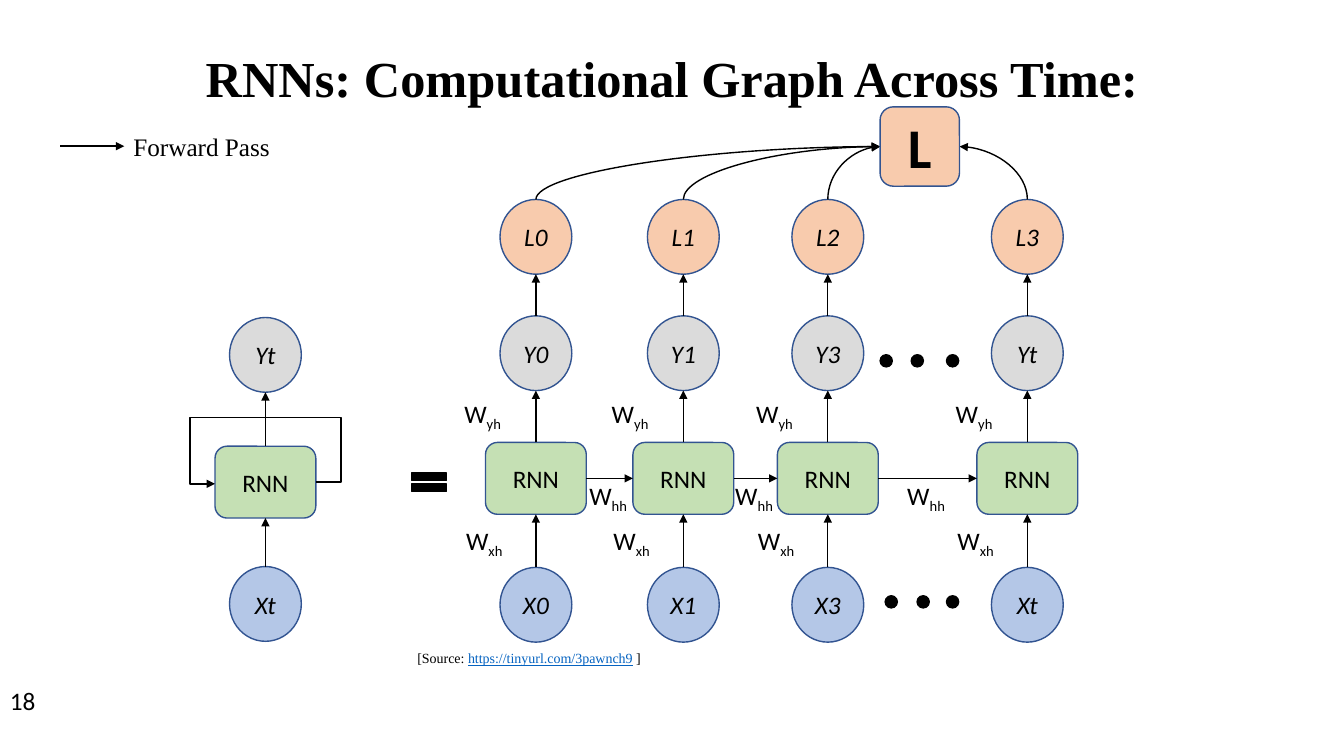
import lxml.etree
import pptx
import pptx.dml.color
import pptx.enum.shapes
import pptx.enum.text
import pptx.oxml.ns
import pptx.util

BLACK = pptx.dml.color.RGBColor(0x00, 0x00, 0x00)
OUTLINE = pptx.dml.color.RGBColor(0x32, 0x54, 0x91)
GREY = pptx.dml.color.RGBColor(0xDB, 0xDB, 0xDB)
GREEN = pptx.dml.color.RGBColor(0xC5, 0xE0, 0xB4)
BLUE = pptx.dml.color.RGBColor(0xB4, 0xC7, 0xE7)
PEACH = pptx.dml.color.RGBColor(0xF8, 0xCB, 0xAD)
LINK = pptx.dml.color.RGBColor(0x05, 0x63, 0xC1)

SANS, SERIF = "Calibri", "Times New Roman"
SHAPE = pptx.enum.shapes.MSO_SHAPE
CONNECTOR = pptx.enum.shapes.MSO_CONNECTOR
CENTER = pptx.enum.text.PP_ALIGN.CENTER
MIDDLE = pptx.enum.text.MSO_ANCHOR.MIDDLE

COLUMNS, ROWS = 160, 90
NODE_WIDTH, NODE_HEIGHT = 8.55, 8.9
CELL_WIDTH, CELL_HEIGHT = 12, 8.55
DOT = 1.45


class GraphSlide:
    """Draws the elements of a computational graph on a grid of columns and rows."""

    def __init__(self, deck):
        self.page = deck.slides.add_slide(deck.slide_layouts[5])
        self.column = deck.slide_width / COLUMNS
        self.row = deck.slide_height / ROWS

    def spot(self, x, y):
        return round(x * self.column), round(y * self.row)

    def frame(self, left, top, width, height):
        return *self.spot(left, top), *self.spot(width, height)

    def add_text(self, para, text, size=18, font=SANS, color=BLACK, bold=False,
                 italic=False, underline=False, baseline=0):
        span = para.add_run()
        span.text = text
        span.font.size = pptx.util.Pt(size)
        span.font.name = font
        span.font.color.rgb = color
        span.font.bold = bold
        span.font.italic = italic
        span.font.underline = underline
        if baseline:
            span._r.get_or_add_rPr().set("baseline", str(baseline * 1000))

    def title(self, text, *place):
        box = self.page.shapes.title
        box.left, box.top, box.width, box.height = self.frame(*place)
        box.text_frame.vertical_anchor = MIDDLE
        para = box.text_frame.paragraphs[0]
        para.alignment = CENTER
        para.line_spacing = 0.9
        self.add_text(para, text, size=36, font=SERIF, bold=True)

    def label(self, spans, *place, wrap=True):
        box = self.page.shapes.add_textbox(*self.frame(*place))
        box.text_frame.word_wrap = wrap
        for text, style in spans:
            self.add_text(box.text_frame.paragraphs[0], text, **style)

    def weight(self, subscript, left, top):
        self.label([("W", {}), (subscript, {"baseline": -25})], left, top, 7.1, 4.8, wrap=False)

    def shape(self, kind, fill, x, y, width, height, text="", line=OUTLINE, **style):
        place = self.frame(x - width / 2, y - height / 2, width, height)
        shape = self.page.shapes.add_shape(kind, *place)
        shape.shadow.inherit = False
        shape.fill.solid()
        shape.fill.fore_color.rgb = fill
        shape.line.color.rgb = line
        shape.line.width = pptx.util.Pt(1)
        if text:
            frame = shape.text_frame
            frame.margin_left = frame.margin_right = 0
            frame.vertical_anchor = MIDDLE
            frame.paragraphs[0].alignment = CENTER
            self.add_text(frame.paragraphs[0], text, **style)

    def node(self, text, fill, x, y):
        self.shape(SHAPE.OVAL, fill, x, y, NODE_WIDTH, NODE_HEIGHT, text, italic=True)

    def cell(self, x, y):
        self.shape(SHAPE.ROUNDED_RECTANGLE, GREEN, x, y, CELL_WIDTH, CELL_HEIGHT, "RNN")

    def dots(self, centers, y):
        for x in centers:
            self.shape(SHAPE.FLOWCHART_CONNECTOR, BLACK, x, y, DOT, DOT, line=BLACK)

    def stroke(self, shape, end, width=1):
        shape.line.color.rgb = BLACK
        shape.line.width = pptx.util.Pt(width)
        outline = shape.line._get_or_add_ln()
        lxml.etree.SubElement(outline, pptx.oxml.ns.qn("a:" + end), type="triangle")

    def arrow(self, start, finish):
        arrow = self.page.shapes.add_connector(
            CONNECTOR.STRAIGHT, *self.spot(*start), *self.spot(*finish))
        self.stroke(arrow, "tailEnd")
        self.flatten(arrow)

    def curve(self, target, source):
        curve = self.page.shapes.add_connector(
            CONNECTOR.CURVE, *self.spot(*target), *self.spot(*source))
        curve._element.spPr.prstGeom.set("prst", "curvedConnector2")
        self.stroke(curve, "headEnd")
        self.flatten(curve)

    def flatten(self, connector):
        lxml.etree.SubElement(connector._element.spPr, pptx.oxml.ns.qn("a:effectLst"))

    def loop(self, start, *corners):
        builder = self.page.shapes.build_freeform(*self.spot(*start))
        builder.add_line_segments([self.spot(*corner) for corner in corners], close=False)
        shape = builder.convert_to_shape()
        shape.shadow.inherit = False
        shape.fill.background()
        self.stroke(shape, "tailEnd", width=1.25)

    def stack(self, x, output, hidden, source, output_name, input_name):
        self.node(output_name, GREY, x, output)
        self.cell(x, hidden)
        self.node(input_name, BLUE, x, source)
        self.arrow((x, hidden - CELL_HEIGHT / 2), (x, output + NODE_HEIGHT / 2))
        self.arrow((x, source - NODE_HEIGHT / 2), (x, hidden + CELL_HEIGHT / 2))


def main():
    deck = pptx.Presentation()
    deck.slide_width = pptx.util.Inches(13.33)
    deck.slide_height = pptx.util.Inches(7.5)
    graph = GraphSlide(deck)
    graph.title("RNNs: Computational Graph Across Time:", 11, 0.96, 138, 17.4)

    graph.arrow((7.2, 17.4), (14.8, 17.4))
    graph.label([("Forward Pass", {"font": SERIF})], 14.7, 15, 20.3, 4.8)

    folded = 31.6
    graph.stack(folded, 42.25, 57.4, 71.9, "Yt", "Xt")
    left, right = folded - CELL_WIDTH / 2, folded + CELL_WIDTH / 2
    graph.loop((right, 57.4), (right + 3, 57.4), (right + 3, 49.7),
               (left - 3, 49.7), (left - 3, 57.6), (left, 57.6))
    graph.shape(SHAPE.MATH_EQUAL, BLACK, 51.1, 57.4, 5.65, 3.7, line=BLACK)

    loss, output, hidden, source = 28.2, 42.05, 56.95, 72
    total_x, total_y, total_size = 109.5, 17.45, 9.45
    steps = [
        (63.8, "L0", "Y0", "X0"),
        (81.35, "L1", "Y1", "X1"),
        (98.55, "L2", "Y3", "X3"),
        (122.3, "L3", "Yt", "Xt"),
    ]
    for x, loss_name, output_name, input_name in steps:
        graph.stack(x, output, hidden, source, output_name, input_name)
        graph.node(loss_name, PEACH, x, loss)
        graph.arrow((x, output - NODE_HEIGHT / 2), (x, loss + NODE_HEIGHT / 2))
        side = total_size / 2 if x > total_x else -total_size / 2
        graph.curve((total_x + side, total_y), (x, loss - NODE_HEIGHT / 2))
        graph.weight("yh", x - 9.7, 46.85)
        graph.weight("xh", x - 9.5, 61.9)
    for (x, *_), (following, *_) in zip(steps, steps[1:]):
        graph.arrow((x + CELL_WIDTH / 2, hidden), (following - CELL_WIDTH / 2, hidden))
        graph.weight("hh", (x + following) / 2 - 3.6, 56.6)

    graph.shape(SHAPE.ROUNDED_RECTANGLE, PEACH, total_x, total_y, total_size, total_size,
                "L", size=40, bold=True)
    graph.dots((105.5, 109.2, 113.4), 42.95)
    graph.dots((106.1, 109.9, 113.4), 71.65)

    small = {"size": 10, "font": SERIF}
    graph.label([("[Source: ", small),
                 ("https://tinyurl.com/3pawnch9", {**small, "color": LINK, "underline": True}),
                 (" ]", small)], 48.5, 76.7, 67, 3.2)
    graph.label([("18", {})], 0, 81, 36, 4.8)
    deck.save("out.pptx")


if __name__ == "__main__":
    main()
